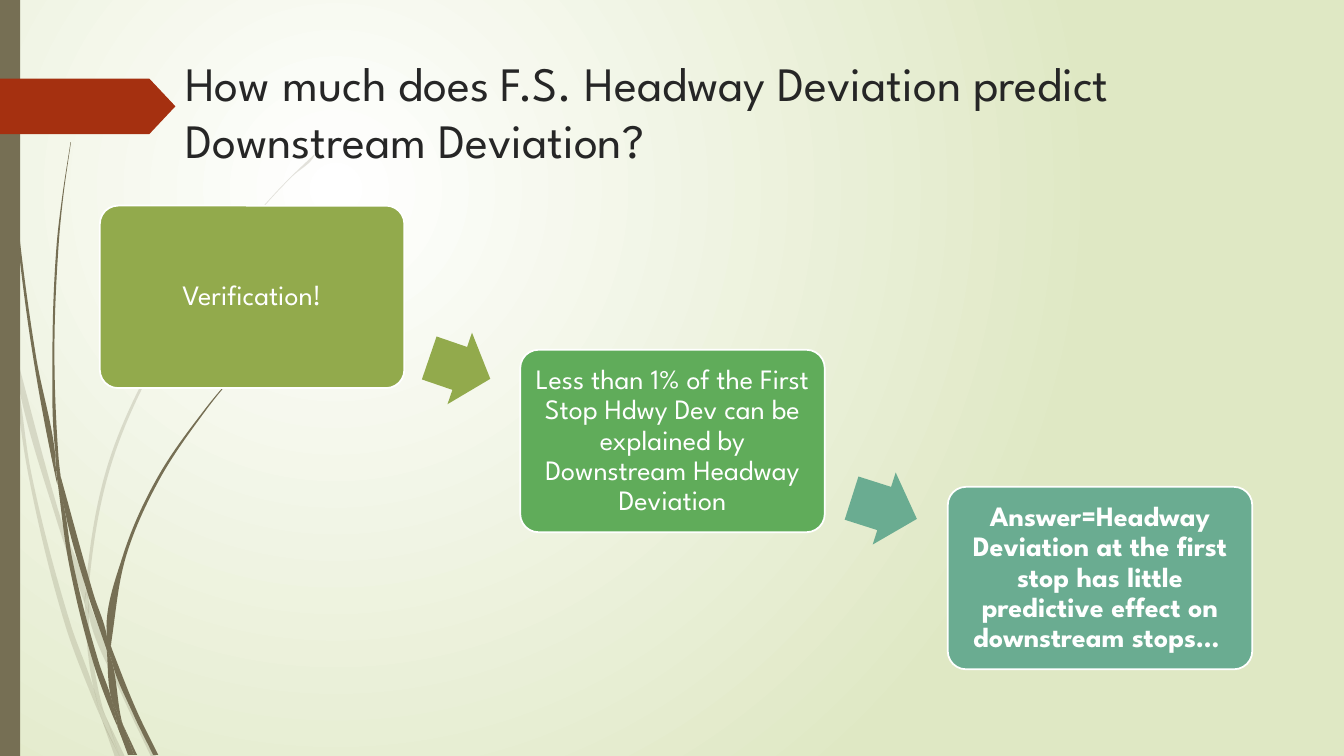
"""Builds a slide with three stepped cards about headway deviation."""
from dataclasses import dataclass

from lxml import etree
from pptx import Presentation
from pptx.dml.color import RGBColor
from pptx.enum.shapes import MSO_SHAPE
from pptx.enum.text import MSO_ANCHOR, PP_ALIGN
from pptx.oxml.ns import qn
from pptx.shapes.autoshape import Shape
from pptx.slide import Slide
from pptx.text.text import TextFrame
from pptx.util import Inches, Pt

RECTANGLE, ROUNDED = MSO_SHAPE.RECTANGLE, MSO_SHAPE.ROUNDED_RECTANGLE
ARROW, PENTAGON = MSO_SHAPE.RIGHT_ARROW, MSO_SHAPE.PENTAGON
MIDDLE, BOTTOM = MSO_ANCHOR.MIDDLE, MSO_ANCHOR.BOTTOM
CENTER, LEFT = PP_ALIGN.CENTER, PP_ALIGN.LEFT

WHITE = RGBColor(0xFF, 0xFF, 0xFF)
PALE_GREEN = RGBColor(0xDF, 0xE8, 0xC4)
BROWN = RGBColor(0x76, 0x6F, 0x54)
RED = RGBColor(0xA5, 0x30, 0x10)
OLIVE = RGBColor(0x92, 0xAA, 0x4C)
GREEN = RGBColor(0x60, 0xAC, 0x5A)
TEAL = RGBColor(0x6A, 0xAC, 0x91)
INK = RGBColor(0x26, 0x26, 0x26)

FONT = "League Spartan"
CELL = Inches(0.01)
COLUMNS, ROWS = 1333, 750
CARD_COLUMNS, CARD_ROWS, CARD_INSET = 302, 181, 8
CORNER_COSINE = 0.5

Outline = tuple[complex, ...]


@dataclass(frozen=True)
class Area:
    """Place on the grid."""
    column: float
    row: float
    columns: float
    rows: float


@dataclass(frozen=True)
class Card:
    """Rounded card of the process."""
    column: float
    row: float
    color: RGBColor
    text: str
    bold: bool = False


@dataclass(frozen=True)
class Step:
    """Tilted arrow between two cards."""
    area: Area
    angle: float
    color: RGBColor


@dataclass(frozen=True)
class Grass:
    """Tuft of blades, each outlined by points of column + row j."""
    opacity: int
    blades: tuple[Outline, ...]


TUFTS = (
    Grass(20, (
        (11+350j, 9+322j, 0+282j, 0+299j, 10+344j),
        (58+522j, 84+599j, 85+586j, 62+520j, 14+345j, 17+376j),
        (92+607j, 88+596j, 88+610j, 123+694j, 150+751j, 155+751j, 127+692j),
        (119+751j, 124+751j, 105+711j),
        (93+683j, 70+619j, 31+469j, 17+376j, 11+350j, 28+470j, 65+621j, 92+693j,
         101+714j, 99+707j),
        (84+599j, 87+646j, 93+683j, 96+692j, 105+711j, 103+706j, 91+646j, 88+610j, 88+608j),
        (88+584j, 110+462j, 160+349j, 229+245j, 268+198j, 290+175j, 312+154j, 312+153j,
         289+175j, 268+197j, 228+244j, 158+348j, 107+461j, 85+584j, 85+586j, 88+596j),
        (101+714j, 114+751j, 119+751j),
        (88+608j, 88+610j, 88+596j, 85+586j, 84+599j),
        (96+692j, 93+683j, 99+707j, 101+714j, 119+751j, 105+711j))),
    Grass(100, (
        (7+110j, 17+233j, 33+355j, 56+477j, 57+481j, 55+457j, 55+453j, 36+355j, 19+232j,
         8+109j, 5+48j, 4+0j, 3+0j, 4+48j),
        (88+592j, 106+645j, 106+631j, 93+590j, 60+472j, 64+505j),
        (113+649j, 110+641j, 111+656j, 132+708j, 152+749j, 157+749j, 136+706j),
        (110+691j, 98+657j, 72+556j, 64+505j, 57+477j, 68+557j, 93+659j, 111+708j,
         117+722j, 116+717j),
        (60+472j, 58+453j, 54+349j, 58+245j, 63+193j, 70.4+141j, 70+141j, 62+193j, 56+245j,
         52+349j, 55+449j),
        (133+749j, 136+749j, 122+719j),
        (57+477j, 64+505j, 60+472j, 55+449j, 55+453j),
        (111+633j, 125+552j, 158+476j, 205+406j, 231+374j, 245+359j, 261+344j, 260+344j,
         245+358j, 231+373j, 204+405j, 156+474j, 122+551j, 106+631j, 110+641j),
        (117+722j, 127+749j, 131+749j),
        (106+645j, 110+691j, 116+706j, 122+719j, 121+716j, 111+656j, 109+651j),
        (106+645j, 109+651j, 111+656j, 110+641j, 106+631j),
        (116+706j, 110+691j, 116+717j, 117+722j, 130+749j, 133+749j, 122+719j))),
)
CARDS = (
    Card(99, 204, OLIVE, "Verification!"),
    Card(516, 347, GREEN, "Less than 1% of the First Stop Hdwy Dev can be "
         "explained by Downstream Headway Deviation"),
    Card(940, 483, TEAL, "Answer=Headway Deviation at the first stop has little "
         "predictive effect on downstream stops… ", True),
)
STEPS = (
    Step(Area(424, 328, 64, 75), 18.9, OLIVE),
    Step(Area(843, 467, 68, 75), 17.7, TEAL),
)
SIDE_BAR = Area(0, 0, 20, ROWS)
MARKER = Area(0, 78, 174, 55)
TITLE = Area(174, 42, 1118, 130)
TITLE_TEXT = "How much does F.S. Headway Deviation predict Downstream Deviation?"


def grid(cells: float) -> int:
    """Turn grid cells into a slide length."""
    return round(cells * CELL)


def place(area: Area) -> tuple[int, int, int, int]:
    """Give left, top, width and height of an area."""
    return grid(area.column), grid(area.row), grid(area.columns), grid(area.rows)


def paint(shape: Shape, color: RGBColor) -> None:
    """Fill a shape flat, without line or shadow."""
    shape.shadow.inherit = False
    shape.fill.solid()
    shape.fill.fore_color.rgb = color
    shape.line.fill.background()


def add_preset(slide: Slide, kind: MSO_SHAPE, area: Area, color: RGBColor) -> Shape:
    """Add a flat preset shape."""
    shape = slide.shapes.add_shape(kind, *place(area))
    paint(shape, color)
    return shape


def write(frame: TextFrame, text: str, size: float, color: RGBColor,
          anchor: MSO_ANCHOR, alignment: PP_ALIGN, bold: bool = False) -> None:
    """Write one wrapped paragraph and format it."""
    frame.text = text
    frame.word_wrap = True
    frame.vertical_anchor = anchor
    paragraph = frame.paragraphs[0]
    paragraph.alignment = alignment
    font = paragraph.runs[0].font
    font.name, font.size, font.bold = FONT, Pt(size), bold
    font.color.rgb = color


def handles(before: complex, point: complex, after: complex) -> tuple[complex, complex]:
    """Give the curve handles on both sides of a point, straight at corners."""
    arriving, leaving = point - before, after - point
    enter, leave = arriving / abs(arriving), leaving / abs(leaving)
    if (enter * leave.conjugate()).real > CORNER_COSINE:
        enter = leave = (enter + leave) / abs(enter + leave)
    return point - enter * abs(arriving) / 3, point + leave * abs(leaving) / 3


def add_blade(slide: Slide, outline: Outline, opacity: int) -> None:
    """Draw a blade of grass with curved edges."""
    following = outline[1:] + outline[:1]
    corners = [(grid(point.real), grid(point.imag)) for point in following]
    builder = slide.shapes.build_freeform(*corners[-1])
    builder.add_line_segments(corners, close=True)
    shape = builder.convert_to_shape()
    paint(shape, BROWN)
    pairs = [handles(*points) for points in zip(outline[-1:] + outline, outline, following)]
    lines = list(shape.element.iter(qn("a:lnTo")))
    for line, (_, leave), (enter, _) in zip(lines, pairs, pairs[1:] + pairs[:1]):
        line.tag = qn("a:cubicBezTo")
        for index, handle in enumerate((leave, enter)):
            x, y = grid(handle.real) - shape.left, grid(handle.imag) - shape.top
            line.insert(index, etree.Element(qn("a:pt"), x=str(x), y=str(y)))
    if opacity < 100:
        color = shape.element.spPr.find(f"{qn('a:solidFill')}/{qn('a:srgbClr')}")
        etree.SubElement(color, qn("a:alpha"), val=str(opacity * 1000))


def add_card(slide: Slide, card: Card) -> None:
    """Draw a rounded card with its text."""
    area = Area(card.column, card.row, CARD_COLUMNS, CARD_ROWS)
    shape = add_preset(slide, ROUNDED, area, card.color)
    shape.adjustments[0] = 0.1
    shape.line.color.rgb = WHITE
    shape.line.width = Pt(1.25)
    frame = shape.text_frame
    frame.margin_left = frame.margin_right = grid(CARD_INSET)
    frame.margin_top = frame.margin_bottom = grid(CARD_INSET)
    write(frame, card.text, 20, WHITE, MIDDLE, CENTER, card.bold)
    frame.paragraphs[0].line_spacing = 0.9


def add_step(slide: Slide, step: Step) -> None:
    """Draw an arrow between cards."""
    shape = add_preset(slide, ARROW, step.area, step.color)
    shape.adjustments[0], shape.adjustments[1] = 0.6, 0.5
    shape.rotation = step.angle


def set_background(slide: Slide) -> None:
    """Spread a round gradient behind the slide."""
    fill = slide.background.fill
    fill.gradient()
    for stop, position, color in zip(fill.gradient_stops, (0, 1), (WHITE, PALE_GREEN)):
        stop.position = position
        stop.color.rgb = color
    gradient = slide.element.find(f".//{qn('a:gradFill')}")
    circle = etree.Element(qn("a:path"), {"path": "circle"})
    etree.SubElement(circle, qn("a:fillToRect"), l="50000", t="50000", r="100000", b="100000")
    gradient.replace(gradient.find(qn("a:lin")), circle)


def main() -> None:
    """Build and save the slide."""
    presentation = Presentation()
    presentation.slide_width, presentation.slide_height = grid(COLUMNS), grid(ROWS)
    slide = presentation.slides.add_slide(presentation.slide_layouts[6])
    set_background(slide)
    for tuft in TUFTS:
        for blade in tuft.blades:
            add_blade(slide, blade, tuft.opacity)
    add_preset(slide, RECTANGLE, SIDE_BAR, BROWN)
    add_preset(slide, PENTAGON, MARKER, RED).adjustments[0] = 0.47
    for card in CARDS:
        add_card(slide, card)
    for step in STEPS:
        add_step(slide, step)
    title = slide.shapes.add_textbox(*place(TITLE))
    write(title.text_frame, TITLE_TEXT, 34.2, INK, BOTTOM, LEFT)
    presentation.save("out.pptx")


if __name__ == "__main__":
    main()
